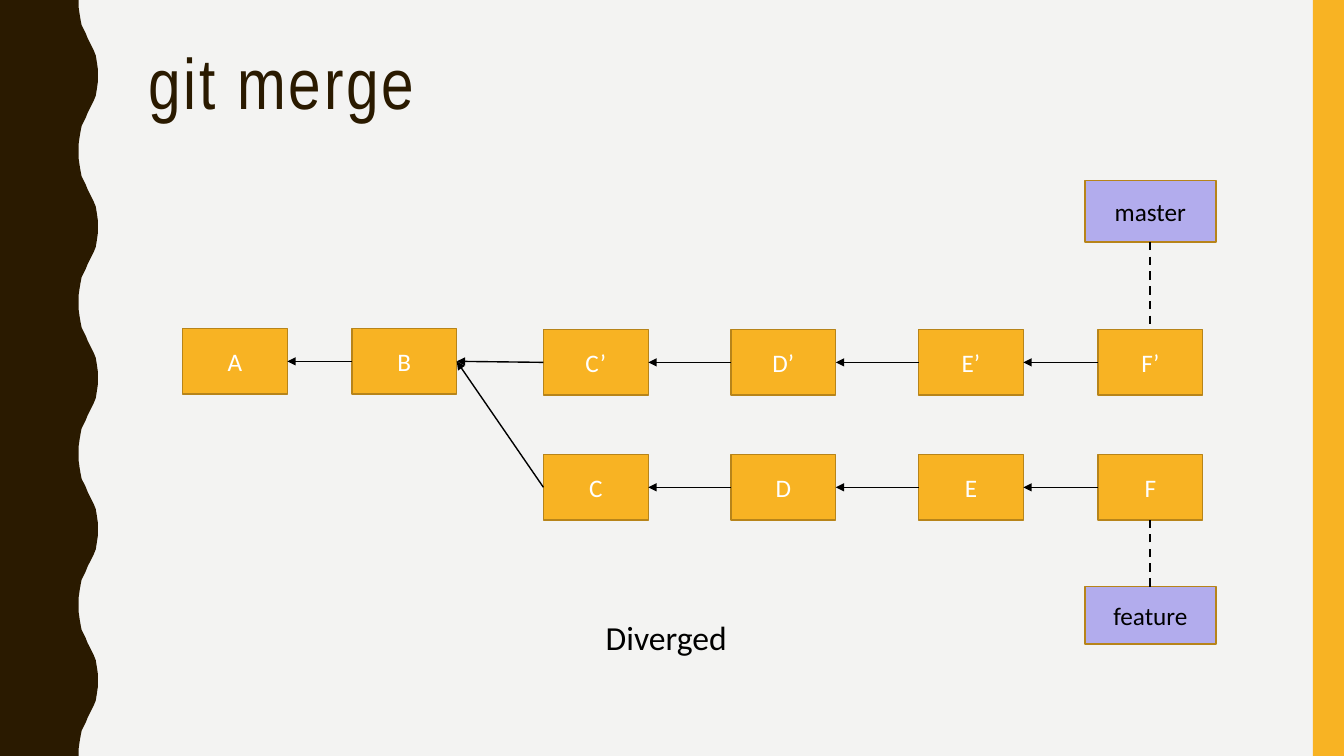
import pptx
import pptx.util
import pptx.dml.color
import pptx.enum.dml
import pptx.enum.shapes
import pptx.enum.text
import pptx.oxml
import pptx.oxml.ns
from dataclasses import dataclass

PX = 9144  # one hundredth of an inch
WIDTH, HEIGHT = 1333, 750


@dataclass(frozen=True)
class Theme:
    paper: str = "F3F3F2"
    dark: str = "2A1A00"
    gold: str = "F8B323"
    edge: str = "B7841A"
    lilac: str = "B2ACED"
    black: str = "000000"
    white: str = "FFFFFF"
    head: str = "Arial Narrow"
    body: str = "Calibri"
    title: int = 51
    note: int = 24
    label: int = 18


THEME = Theme()
RECT = pptx.enum.shapes.MSO_SHAPE.RECTANGLE
ALIGN = pptx.enum.text.PP_ALIGN
ANCHOR = pptx.enum.text.MSO_ANCHOR
FIT = pptx.enum.text.MSO_AUTO_SIZE
TOP, LEFT, BOTTOM, RIGHT = range(4)  # connection sites of a rectangle


def rgb(code):
    return pptx.dml.color.RGBColor.from_string(code)


def scale(*sizes):
    return [size * PX for size in sizes]


def paint(shape, fill, edge=None):
    shape.shadow.inherit = False
    shape.fill.solid()
    shape.fill.fore_color.rgb = rgb(fill)
    if edge:
        shape.line.color.rgb = rgb(edge)
        shape.line.width = pptx.util.Pt(1)
    else:
        shape.line.fill.background()


def write(frame, text, size, color, align, face=THEME.body):
    frame.text = text
    para = frame.paragraphs[0]
    para.alignment = align
    font = para.runs[0].font
    font.name = face
    font.size = pptx.util.Pt(size)
    font.color.rgb = rgb(color)
    return para


def add_wave(slide, box):
    """Draw the dark band, whose right edge swings once every fifth of its height."""
    left, top, width, height = box
    steps = [(0, 0), (0, 7), (1, 14), (2, 20), (3, 25), (5, 29), (7, 33), (9, 38),
             (11, 42), (13, 46), (15, 50), (17, 55), (18, 61), (19, 68), (19, 75)]
    inner = left + width - 19
    period = height // 5
    swing = steps + [(x, period - y) for x, y in reversed(steps[:-1])]
    edge = [(inner + x, top + turn * period + y)
            for turn in range(5) for x, y in swing]
    form = slide.shapes.build_freeform(left, top, scale=PX)
    form.add_line_segments(edge + [(left, top + height)], close=True)
    paint(form.convert_to_shape(), THEME.dark)


def add_bar(slide, box):
    paint(slide.shapes.add_shape(RECT, *scale(*box)), THEME.gold)


def add_title(slide, box, text):
    title = slide.shapes.title
    title.left, title.top, title.width, title.height = scale(*box)
    frame = title.text_frame
    frame.auto_size = FIT.NONE
    frame.vertical_anchor = ANCHOR.TOP
    para = write(frame, text, THEME.title, THEME.dark, ALIGN.LEFT, THEME.head)
    para.line_spacing = 0.9
    para.runs[0].font._element.set("spc", "200")


def add_node(slide, box, text, fill, color):
    node = slide.shapes.add_shape(RECT, *scale(*box))
    paint(node, fill, THEME.edge)
    node.text_frame.vertical_anchor = ANCHOR.MIDDLE
    write(node.text_frame, text, THEME.label, color, ALIGN.CENTER)
    return node


def join(slide, start, out, end, into, width=1):
    kind = pptx.enum.shapes.MSO_CONNECTOR.STRAIGHT
    link = slide.shapes.add_connector(kind, 0, 0, 0, 0)
    link.begin_connect(start, out)
    link.end_connect(end, into)
    link.line.color.rgb = rgb(THEME.black)
    link.line.width = pptx.util.Pt(width)
    props = link._element.spPr
    props.append(pptx.oxml.parse_xml(
        "<a:effectLst %s/>" % pptx.oxml.ns.nsdecls("a")))
    return link


def add_arrow(slide, child, parent):
    link = join(slide, child, LEFT, parent, RIGHT)
    link.line._get_or_add_ln().append(pptx.oxml.parse_xml(
        '<a:tailEnd %s type="triangle"/>' % pptx.oxml.ns.nsdecls("a")))


def add_dash(slide, start, out, end, into):
    link = join(slide, start, out, end, into, 1.5)
    link.line.dash_style = pptx.enum.dml.MSO_LINE.DASH


def add_graph(slide, box):
    """Draw the commits, the arrows to their parents and the branch tags."""
    left, top, width, height = box
    wide, high = 104, 65
    trunk, upper, lower = 147, 148, 272
    shared, split = (5, 173), (363, 549, 735, 913)

    def add_row(names, spots, drop):
        return [add_node(slide, (left + spot, top + drop, wide, high),
                         name, THEME.gold, THEME.white)
                for name, spot in zip(names, spots)]

    def add_tag(name, drop, tall):
        return add_node(slide, (left + width - 130, top + drop, 130, tall),
                        name, THEME.lilac, THEME.black)

    base = add_row("AB", shared, trunk)
    main = add_row(["C’", "D’", "E’", "F’"], split, upper)
    side = add_row("CDEF", split, lower)
    add_arrow(slide, base[1], base[0])
    for row in (main, side):
        for parent, child in zip([base[1]] + row, row):
            add_arrow(slide, child, parent)
    master = add_tag("master", 0, 61)
    feature = add_tag("feature", height - 57, 57)
    add_dash(slide, master, BOTTOM, main[-1], TOP)
    add_dash(slide, feature, TOP, side[-1], BOTTOM)


def add_note(slide, box, text):
    frame = slide.shapes.add_textbox(*scale(*box)).text_frame
    frame.word_wrap = False
    frame.auto_size = FIT.SHAPE_TO_FIT_TEXT
    write(frame, text, THEME.note, THEME.black, ALIGN.LEFT)


def main():
    deck = pptx.Presentation()
    deck.slide_width, deck.slide_height = scale(WIDTH, HEIGHT)
    slide = deck.slides.add_slide(deck.slide_layouts.get_by_name("Title Only"))
    slide.background.fill.solid()
    slide.background.fill.fore_color.rgb = rgb(THEME.paper)
    add_wave(slide, (0, 0, 97, HEIGHT))
    add_bar(slide, (WIDTH - 31, 0, 31, HEIGHT))
    add_title(slide, (137, 42, 1113, 163), "git merge")
    add_graph(slide, (176, 179, 1030, 460))
    add_note(slide, (591, 607, 144, 50), "Diverged")
    deck.save("out.pptx")


if __name__ == "__main__":
    main()
